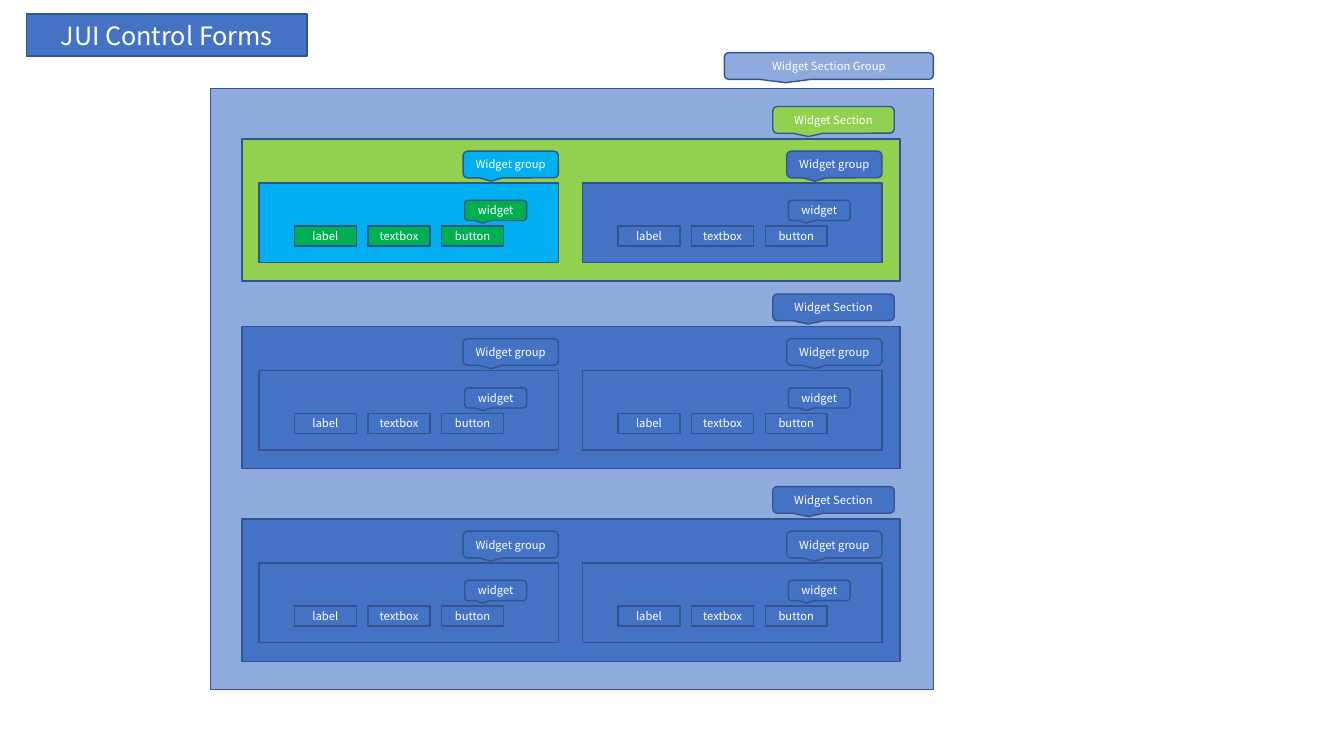
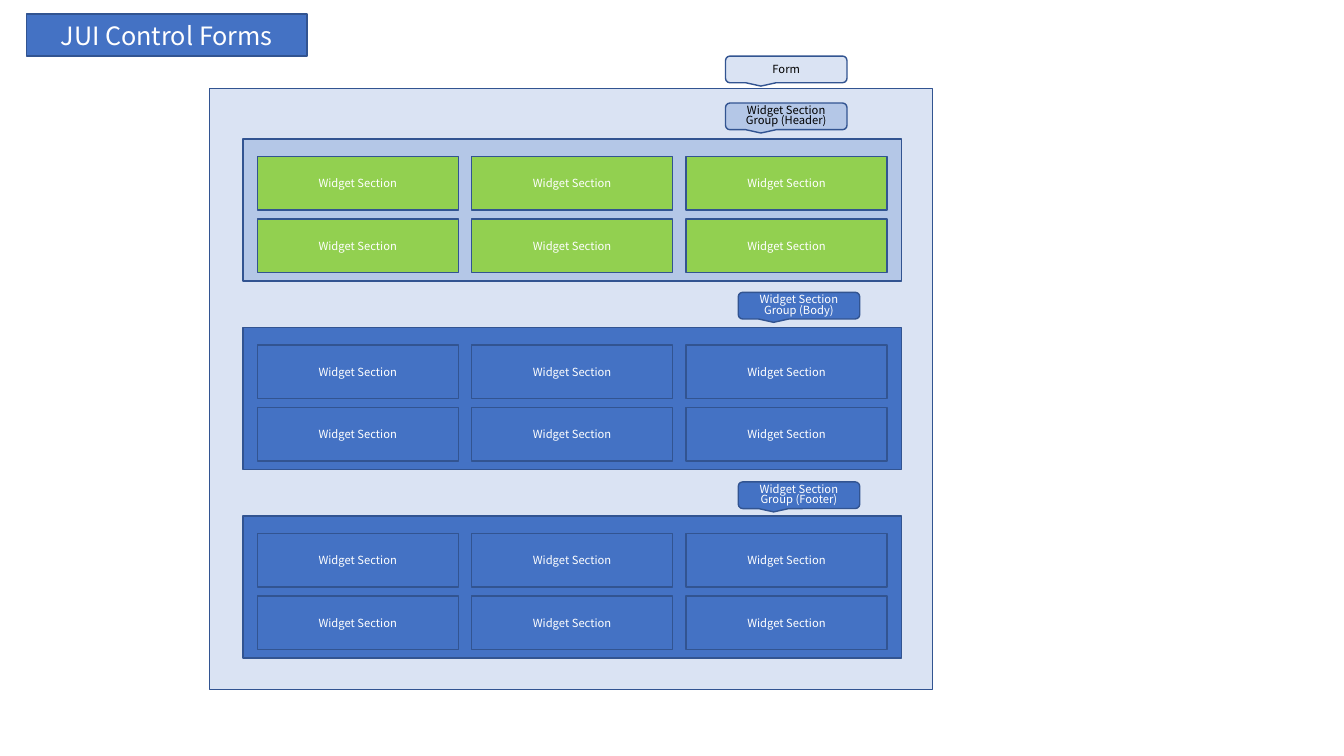
"""Build two slides on the nested parts of JUI control forms."""
import dataclasses
import itertools

import pptx
import pptx.dml.color
import pptx.enum.shapes
import pptx.enum.text
import pptx.shapes.autoshape
import pptx.slide
import pptx.util

FONT = "Noto Sans CJK KR"
BLUE, OUTLINE, WHITE, BLACK = "4472C4", "325491", "FFFFFF", "000000"
PERIWINKLE, PALE, MIST = "8FAADC", "B4C7E7", "DAE3F3"
LIME, SKY, GREEN = "92D050", "00B0F0", "00B050"

deck = pptx.Presentation()
deck.slide_width = pptx.util.Inches(13.33)
deck.slide_height = pptx.util.Inches(7.5)
COLUMN = deck.slide_width / 100
ROW = deck.slide_height / 100

SECTION_SIZE = (48.98, 18.8)
GROUP_SIZE = (22.28, 10.53)
WIDGET_SIZE = (4.6, 2.67)
CELL_SIZE = (14.95, 7.07)
TAG_SIZE = (9.04, 3.53)
GROUP_TAG_SIZE = (7.08, 3.53)
WIDE_TAG_SIZE = (15.55, 3.53)


@dataclasses.dataclass(frozen=True)
class Box:
    """A filled box placed on a grid of 100 columns by 100 rows."""
    left: float
    top: float
    size: tuple[float, float]
    fill: str = BLUE
    label: str = ""
    ink: str = WHITE
    callout: bool = False
    points: float = 8
    spacing: float = 1.0


TITLE = Box(1.97, 1.83, (20.87, 5.6), label="JUI Control Forms", points=18)


def color(code: str) -> pptx.dml.color.RGBColor:
    """Turn a hex string into a colour."""
    return pptx.dml.color.RGBColor.from_string(code)


def dress(shape: pptx.shapes.autoshape.Shape, box: Box) -> None:
    """Give a shape the fill, outline and text of a box."""
    shape.fill.solid()
    shape.fill.fore_color.rgb = color(box.fill)
    shape.line.color.rgb = color(OUTLINE)
    shape.line.width = pptx.util.Pt(1)
    if not box.label:
        return
    frame = shape.text_frame
    frame.text = box.label
    frame.word_wrap = True
    frame.auto_size = pptx.enum.text.MSO_AUTO_SIZE.NONE
    frame.vertical_anchor = pptx.enum.text.MSO_ANCHOR.MIDDLE
    para = frame.paragraphs[0]
    para.alignment = pptx.enum.text.PP_ALIGN.CENTER
    para.line_spacing = box.spacing
    para.font.name = FONT
    para.font.size = pptx.util.Pt(box.points)
    para.font.color.rgb = color(box.ink)


def place(box: Box) -> tuple[int, int, int, int]:
    """Convert grid units to slide lengths."""
    width, height = box.size
    return (round(box.left * COLUMN), round(box.top * ROW),
            round(width * COLUMN), round(height * ROW))


def draw(page: pptx.slide.Slide, box: Box) -> None:
    """Draw a box as a rectangle or a callout."""
    kinds = pptx.enum.shapes.MSO_SHAPE
    kind = kinds.ROUNDED_RECTANGULAR_CALLOUT if box.callout else kinds.RECTANGLE
    shape = page.shapes.add_shape(kind, *place(box))
    shape.shadow.inherit = False
    dress(shape, box)


def add_page(left: float, fill: str) -> pptx.slide.Slide:
    """Add a slide with the shared title and outer panel."""
    page = deck.slides.add_slide(deck.slide_layouts[5])
    title = page.shapes.title
    title.left, title.top, title.width, title.height = place(TITLE)
    dress(title, TITLE)
    draw(page, Box(left, 11.73, (53.77, 79.47), fill))
    return page


def draw_group(page: pptx.slide.Slide, left: float, top: float,
               fill: str, widget_fill: str) -> None:
    """Draw a widget group with its widgets and callouts."""
    draw(page, Box(left, top, GROUP_SIZE, fill))
    for index, label in enumerate(("label", "textbox", "button")):
        draw(page, Box(left + 2.63 + index * 5.48, top + 5.67,
                       WIDGET_SIZE, widget_fill, label))
    draw(page, Box(left + 15.3, top + 2.3, WIDGET_SIZE, widget_fill,
                   "widget", callout=True))
    draw(page, Box(left + 15.18, top - 4.2, GROUP_TAG_SIZE, fill,
                   "Widget group", callout=True))


def draw_section(page: pptx.slide.Slide, top: float, fill: str,
                 group_fill: str, widget_fill: str) -> None:
    """Draw a widget section whose first group has its own fills."""
    left = 18.0
    draw(page, Box(left, top, SECTION_SIZE, fill))
    draw_group(page, left + 1.28, top + 5.8, group_fill, widget_fill)
    draw_group(page, left + 25.36, top + 5.8, BLUE, BLUE)
    draw(page, Box(left + 39.5, top - 4.3, TAG_SIZE, fill,
                   "Widget Section", callout=True))


def draw_section_group(page: pptx.slide.Slide, top: float, fill: str,
                       cell_fill: str, tag: Box) -> None:
    """Draw a section group with a grid of sections and its callout."""
    left = 18.08
    draw(page, Box(left, top, SECTION_SIZE, fill))
    for row, column in itertools.product(range(2), range(3)):
        draw(page, Box(left + 1.07 + column * 15.95, top + 2.33 + row * 8.25,
                       CELL_SIZE, cell_fill, "Widget Section"))
    draw(page, tag)


def build_sections() -> None:
    """Build the slide that splits a section group into widgets."""
    page = add_page(15.68, PERIWINKLE)
    draw_section(page, 18.4, LIME, SKY, GREEN)
    for top in (43.2, 68.67):
        draw_section(page, top, BLUE, BLUE, BLUE)
    draw(page, Box(53.9, 6.97, WIDE_TAG_SIZE, PERIWINKLE,
                   "Widget Section Group", callout=True))


def build_form() -> None:
    """Build the slide that splits a form into section groups."""
    page = add_page(15.6, MIST)
    header = Box(53.98, 13.63, TAG_SIZE, PALE, "Widget Section Group (Header)",
                 BLACK, callout=True, spacing=0.8)
    body = dataclasses.replace(header, left=54.93, top=38.67, fill=BLUE,
                               label="Widget Section Group (Body)", ink=WHITE)
    footer = dataclasses.replace(body, top=63.75,
                                 label="Widget Section Group (Footer)")
    draw_section_group(page, 18.4, PALE, LIME, header)
    draw_section_group(page, 43.33, BLUE, BLUE, body)
    draw_section_group(page, 68.27, BLUE, BLUE, footer)
    draw(page, Box(53.98, 7.42, TAG_SIZE, MIST, "Form", BLACK, callout=True))


build_sections()
build_form()
deck.save("out.pptx")
